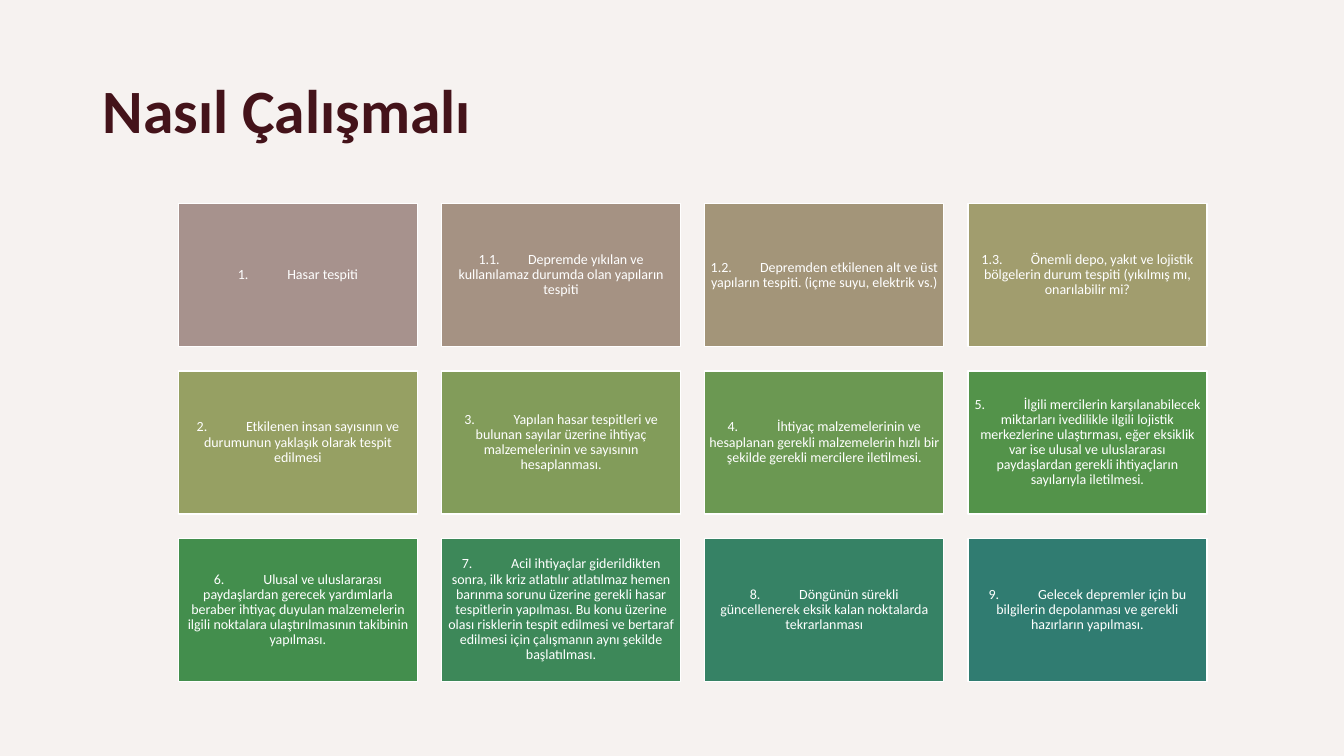
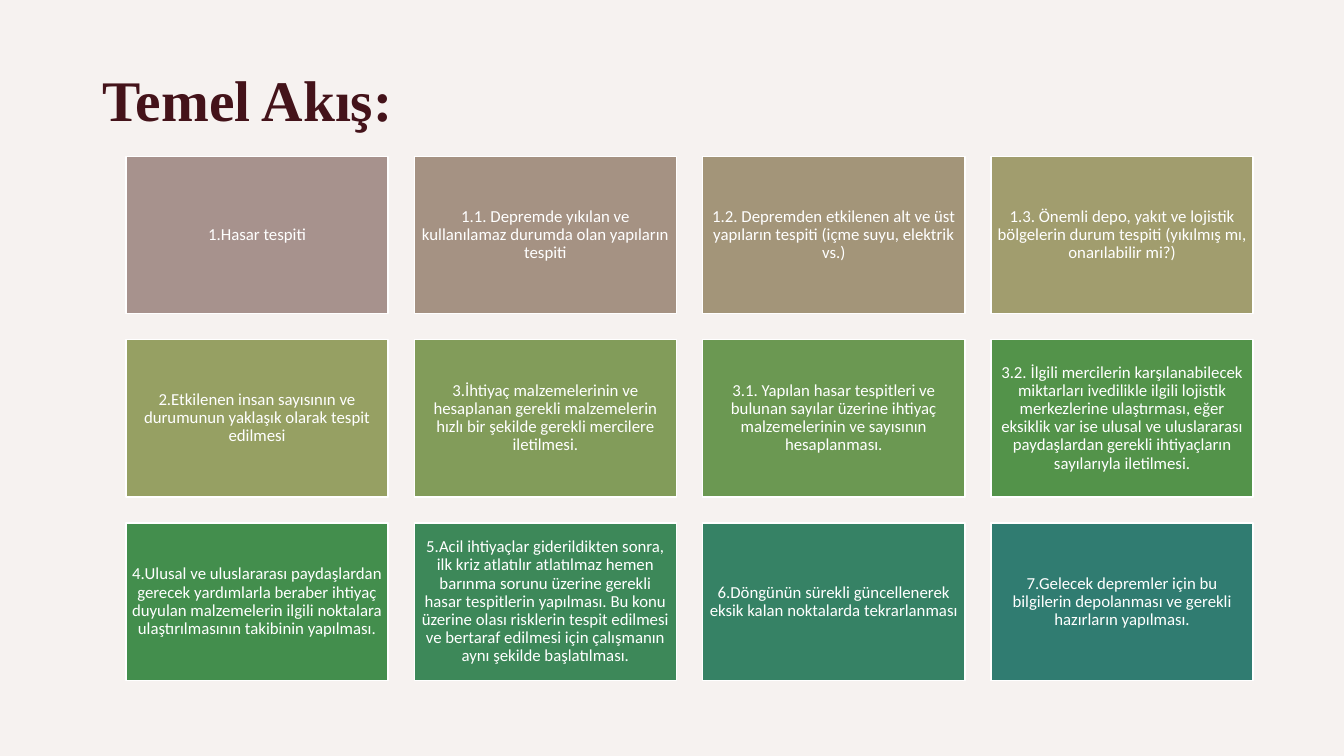
"""Build two slides that lay out the steps of the disaster response flow as card grids."""
from pptx import Presentation
from pptx import util as u
from pptx.dml.color import RGBColor
from pptx.enum import shapes, text

PX = 9144
COLS = 4
WHITE, TITLE_INK, BACKDROP = "FFFFFF", "44131A", "F6F2F0"
CARD_FILLS = [
    "A7928D", "A59283", "A39579", "A19D6E",
    "96A063", "829C5A", "6B9852", "53934A",
    "438E4D", "3D8859", "368265", "307C71",
]

SLIDES = [
    dict(
        title="Nasıl Çalışmalı", font="Calibri", size=44, spacing=1.0,
        left=177, top=202, width=237, height=142, gap=24, inset=4, card_size=10,
        steps=[
            "1.\tHasar tespiti",
            "1.1.\tDepremde yıkılan ve kullanılamaz durumda olan yapıların tespiti",
            "1.2.\tDepremden etkilenen alt ve üst yapıların tespiti. (içme suyu, elektrik vs.)",
            "1.3.\tÖnemli depo, yakıt ve lojistik bölgelerin durum tespiti (yıkılmış mı, "
            "onarılabilir mi?",
            "2.\tEtkilenen insan sayısının ve durumunun yaklaşık olarak tespit edilmesi",
            "3.\tYapılan hasar tespitleri ve bulunan sayılar üzerine ihtiyaç malzemelerinin "
            "ve sayısının hesaplanması.",
            "4.\tİhtiyaç malzemelerinin ve hesaplanan gerekli malzemelerin hızlı bir şekilde "
            "gerekli mercilere iletilmesi.",
            "5.\tİlgili mercilerin karşılanabilecek miktarları ivedilikle ilgili lojistik "
            "merkezlerine ulaştırması, eğer eksiklik var ise ulusal ve uluslararası "
            "paydaşlardan gerekli ihtiyaçların sayılarıyla iletilmesi.",
            "6.\tUlusal ve uluslararası paydaşlardan gerecek yardımlarla beraber ihtiyaç "
            "duyulan malzemelerin ilgili noktalara ulaştırılmasının takibinin yapılması.",
            "7.\tAcil ihtiyaçlar giderildikten sonra, ilk kriz atlatılır atlatılmaz hemen "
            "barınma sorunu üzerine gerekli hasar tespitlerin yapılması. Bu konu üzerine "
            "olası risklerin tespit edilmesi ve bertaraf edilmesi için çalışmanın aynı "
            "şekilde başlatılması.",
            "8.\tDöngünün sürekli güncellenerek eksik kalan noktalarda tekrarlanması",
            "9.\tGelecek depremler için bu bilgilerin depolanması ve gerekli hazırların "
            "yapılması.",
        ],
    ),
    dict(
        title="Temel Akış:", font="Times New Roman", size=41, spacing=0.9,
        left=125, top=155, width=260, height=156, gap=26, inset=5, card_size=12,
        steps=[
            "1.Hasar tespiti",
            "1.1. Depremde yıkılan ve kullanılamaz durumda olan yapıların tespiti",
            "1.2. Depremden etkilenen alt ve üst yapıların tespiti (içme suyu, elektrik vs.)",
            "1.3. Önemli depo, yakıt ve lojistik bölgelerin durum tespiti (yıkılmış mı, "
            "onarılabilir mi?)",
            "2.Etkilenen insan sayısının ve durumunun yaklaşık olarak tespit edilmesi",
            "3.İhtiyaç malzemelerinin ve hesaplanan gerekli malzemelerin hızlı bir şekilde "
            "gerekli mercilere iletilmesi.",
            "3.1. Yapılan hasar tespitleri ve bulunan sayılar üzerine ihtiyaç "
            "malzemelerinin ve sayısının hesaplanması.",
            "3.2. İlgili mercilerin karşılanabilecek miktarları ivedilikle ilgili lojistik "
            "merkezlerine ulaştırması, eğer eksiklik var ise ulusal ve uluslararası "
            "paydaşlardan gerekli ihtiyaçların sayılarıyla iletilmesi.",
            "4.Ulusal ve uluslararası paydaşlardan gerecek yardımlarla beraber ihtiyaç "
            "duyulan malzemelerin ilgili noktalara ulaştırılmasının takibinin yapılması.",
            "5.Acil ihtiyaçlar giderildikten sonra, ilk kriz atlatılır atlatılmaz hemen "
            "barınma sorunu üzerine gerekli hasar tespitlerin yapılması. Bu konu üzerine "
            "olası risklerin tespit edilmesi ve bertaraf edilmesi için çalışmanın aynı "
            "şekilde başlatılması.",
            "6.Döngünün sürekli güncellenerek eksik kalan noktalarda tekrarlanması",
            "7.Gelecek depremler için bu bilgilerin depolanması ve gerekli hazırların "
            "yapılması.",
        ],
    ),
]


def paint(color_format, value):
    color_format.rgb = RGBColor.from_string(value)


def write(p, content, font, size, color, align, spacing, bold=False):
    p.alignment = align
    p.line_spacing = spacing
    r = p.add_run()
    r.text = content
    r.font.name = font
    r.font.size = u.Pt(size)
    r.font.bold = bold
    paint(r.font.color, color)


prs = Presentation()
prs.slide_width, prs.slide_height = 1333 * PX, 750 * PX
backdrop = prs.slide_master.background.fill
backdrop.solid()
paint(backdrop.fore_color, BACKDROP)

layout = prs.slide_layouts.get_by_name("Title Only")
title = layout.placeholders[0]
title.left, title.top, title.width, title.height = 92 * PX, 61 * PX, 1132 * PX, 140 * PX
tf = title.text_frame
tf.vertical_anchor = text.MSO_ANCHOR.TOP
tf.auto_size = text.MSO_AUTO_SIZE.NONE
tf.margin_top = 10 * PX

for page in SLIDES:
    s = prs.slides.add_slide(layout)
    write(s.shapes.title.text_frame.paragraphs[0], page["title"], page["font"], page["size"],
          TITLE_INK, text.PP_ALIGN.LEFT, page["spacing"], bold=True)

    width, height, gap = page["width"], page["height"], page["gap"]
    for i, (step, fill) in enumerate(zip(page["steps"], CARD_FILLS)):
        row, col = divmod(i, COLS)
        x = page["left"] + col * (width + gap)
        y = page["top"] + row * (height + gap)
        sp = s.shapes.add_shape(shapes.MSO_SHAPE.RECTANGLE, x * PX, y * PX, width * PX, height * PX)
        sp.shadow.inherit = False
        sp.fill.solid()
        paint(sp.fill.fore_color, fill)
        paint(sp.line.color, WHITE)
        sp.line.width = u.Pt(1)
        tf = sp.text_frame
        tf.word_wrap = True
        tf.vertical_anchor = text.MSO_ANCHOR.MIDDLE
        tf.margin_left = tf.margin_right = tf.margin_top = tf.margin_bottom = page["inset"] * PX
        p = tf.paragraphs[0]
        write(p, step, "Calibri", page["card_size"], WHITE, text.PP_ALIGN.CENTER, 0.9)
        p._p.get_or_add_pPr().set("defTabSz", str(49 * PX))

prs.save("out.pptx")
